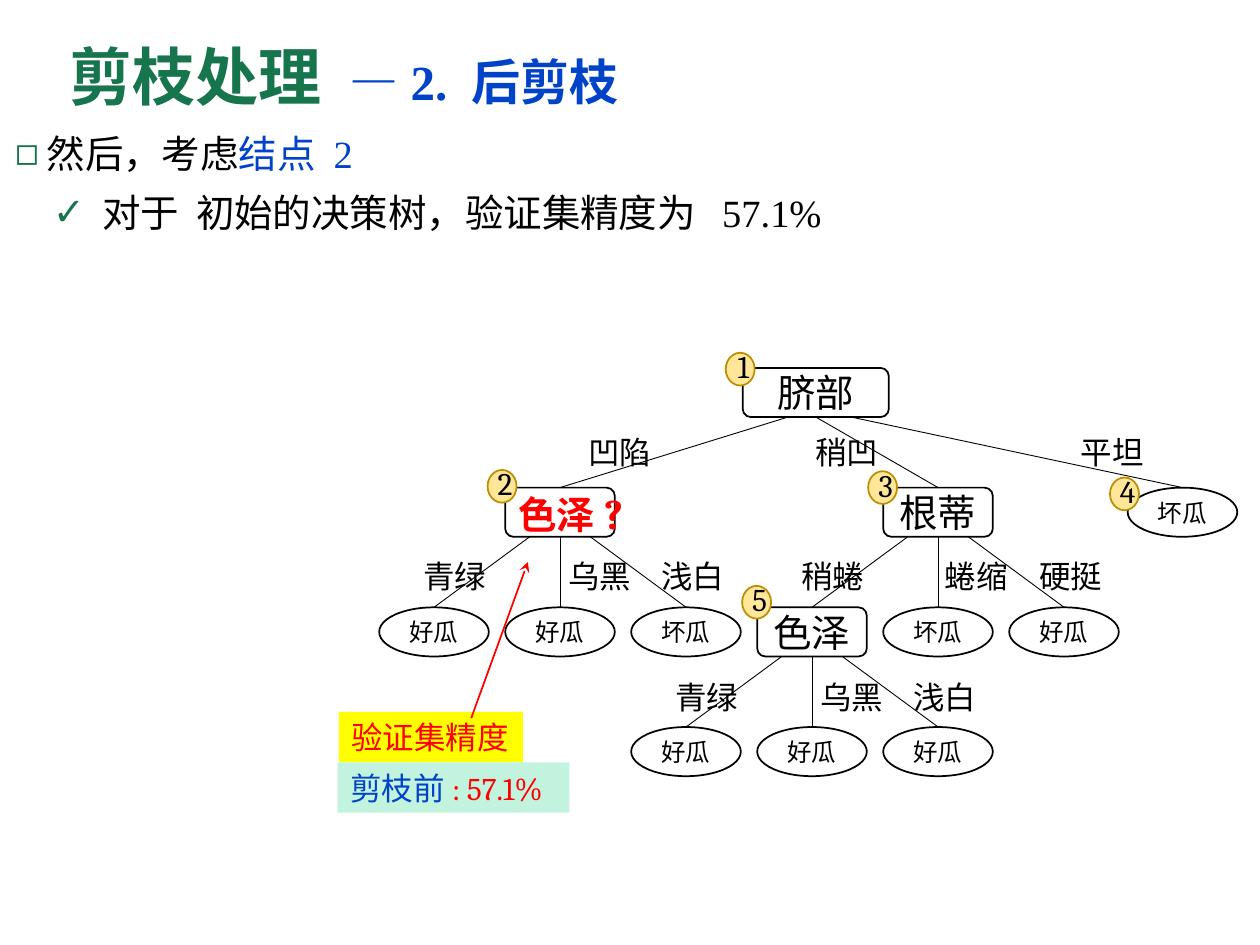
from lxml.etree import SubElement
from pptx import Presentation
from pptx.dml.color import RGBColor
from pptx.enum.shapes import MSO_CONNECTOR, MSO_SHAPE
from pptx.enum.text import MSO_ANCHOR, MSO_AUTO_SIZE, PP_ALIGN
from pptx.oxml.ns import qn
from pptx.util import Inches, Pt

COLORS = {
    "green": "16754D", "blue": "0042C8", "black": "000000", "red": "FF0000",
    "white": "FFFFFF", "badge": "FFE699", "badge_line": "BD8E00",
    "yellow": "FFFF00", "mint": "C1F3DE",
}
TIMES, CAMBRIA, NOTO = "Times New Roman", "Cambria", "Noto Sans CJK SC"

TITLE = [("剪枝处理  ", 36, "green"), ("—2. 后剪枝", 28, "blue")]
BULLETS = [
    ("◻", 0.25, -0.25, [("然后，考虑", "black"), ("结点 2", "blue")]),
    ("✓", 0.69, -0.39, [("对于  初始的决策树，验证集精度为  57.1%", "black")]),
]

LEFT, TOP, COL, ROW = 3.01, 2.92, 1.0, 0.95
NODE_W, ROOT_W, NODE_H = 0.87, 1.16, 0.39
BADGE_W, BADGE_H = 0.23, 0.26
LABEL_W, LABEL_H = 0.71, 0.4
LABEL_TOPS = [3.39, 4.37, 5.33]

TESTS = {
    "1": ("脐部", 3.03, 0), "2": ("色泽", 1, 1),
    "3": ("根蒂", 4, 1), "5": ("色泽", 3, 2),
}
LEAVES = {
    "4": ("坏瓜", 5.94, 1),
    "2a": ("好瓜", 0, 2), "2b": ("好瓜", 1, 2), "2c": ("坏瓜", 2, 2),
    "3b": ("坏瓜", 4, 2), "3c": ("好瓜", 5, 2),
    "5a": ("好瓜", 2, 3), "5b": ("好瓜", 3, 3), "5c": ("好瓜", 4, 3),
}
BRANCHES = {
    "1": [("2", "凹陷", 4.57, -0.22), ("3", "稍凹", 6.37, 0), ("4", "平坦", 8.48, 0.28)],
    "2": [("2a", "青绿", 3.26, -0.24), ("2b", "乌黑", 4.41, 0), ("2c", "浅白", 5.15, 0.24)],
    "3": [("5", "稍蜷", 6.26, -0.24), ("3b", "蜷缩", 7.4, 0), ("3c", "硬挺", 8.15, 0.24)],
    "5": [("5a", "青绿", 5.26, -0.24), ("5b", "乌黑", 6.41, 0), ("5c", "浅白", 7.15, 0.24)],
}
BADGES = {"1": (5.76, 2.8), "2": (3.87, 3.73), "3": (6.89, 3.74),
          "4": (8.81, 3.79), "5": (5.89, 4.65)}
NOTES = [
    (2.69, 5.65, 1.46, "yellow", [("验证集精度", "red")]),
    (2.68, 6.05, 1.84, "mint", [("剪枝前", "blue"), (": 57.1%", "red")]),
]


def rgb(name):
    return RGBColor.from_string(COLORS[name])


def write(paragraph, text, size=18, color="black", font=CAMBRIA, bold=False):
    run = paragraph.add_run()
    run.text = text
    run.font.size, run.font.bold, run.font.name = Pt(size), bold, font
    run.font.color.rgb = rgb(color)
    SubElement(run.font._element, qn("a:ea")).set("typeface", NOTO)


def set_insets(frame, left=0.1, top=0.05, right=0.1, bottom=0.05):
    frame.margin_left, frame.margin_top = Inches(left), Inches(top)
    frame.margin_right, frame.margin_bottom = Inches(right), Inches(bottom)


def place(shape, left, top, width, height):
    shape.left, shape.top = Inches(left), Inches(top)
    shape.width, shape.height = Inches(width), Inches(height)


def add_box(slide, kind, left, top, width, height, fill, line=None):
    box = slide.shapes.add_shape(kind, *map(Inches, (left, top, width, height)))
    box.shadow.inherit = False
    box.fill.solid()
    box.fill.fore_color.rgb = rgb(fill)
    if line:
        box.line.color.rgb = rgb(line)
        box.line.width = Pt(1)
    else:
        box.line.fill.background()
    frame = box.text_frame
    frame.word_wrap = False
    frame.vertical_anchor = MSO_ANCHOR.MIDDLE
    frame.paragraphs[0].alignment = PP_ALIGN.CENTER
    return box


def add_line(slide, start, end, color="black", width=0.5):
    line = slide.shapes.add_connector(MSO_CONNECTOR.STRAIGHT, *map(Inches, start + end))
    line.line.color.rgb = rgb(color)
    line.line.width = Pt(width)
    SubElement(line._element.spPr, qn("a:effectLst"))
    return line


def add_heading(slide):
    title, body = slide.shapes.title, slide.placeholders[1]
    place(title, 0.45, 0.21, 8.62, 0.85)
    title.text_frame.auto_size = MSO_AUTO_SIZE.NONE
    title.text_frame.vertical_anchor = MSO_ANCHOR.MIDDLE
    heading = title.text_frame.paragraphs[0]
    heading.alignment, heading.line_spacing = PP_ALIGN.LEFT, 0.9
    for text, size, color in TITLE:
        write(heading, text, size=size, color=color, font=TIMES, bold=True)

    place(body, 0.02, 1.02, 9.88, 1.7)
    frame = body.text_frame
    frame.auto_size = MSO_AUTO_SIZE.NONE
    set_insets(frame)
    for index, (mark, margin, indent, parts) in enumerate(BULLETS):
        item = frame.add_paragraph() if index else frame.paragraphs[0]
        item.level = index
        item.line_spacing, item.space_before = 0.9, Pt(10)
        properties = item._p.get_or_add_pPr()
        properties.set("marL", str(Inches(margin)))
        properties.set("indent", str(Inches(indent)))
        tint = SubElement(properties, qn("a:buClr"))
        SubElement(tint, qn("a:srgbClr")).set("val", COLORS["green"])
        SubElement(properties, qn("a:buChar")).set("char", mark)
        for text, color in parts:
            write(item, text, size=22, color=color, font=TIMES)


def add_tree(slide):
    nodes = {}
    for key, (text, col, row) in {**TESTS, **LEAVES}.items():
        is_test = key in TESTS
        width = ROOT_W if key == "1" else NODE_W
        left = LEFT + col * COL - (width - NODE_W) / 2
        kind = MSO_SHAPE.ROUNDED_RECTANGLE if is_test else MSO_SHAPE.OVAL
        node = add_box(slide, kind, left, TOP + row * ROW, width, NODE_H, "white", "black")
        line = node.text_frame.paragraphs[0]
        if key == "2":
            set_insets(node.text_frame, left=0.2, right=0.03)
            write(line, text, size=22, color="red", bold=True)
            write(line, "?", size=24, color="red", bold=True)
        elif is_test:
            write(line, text, size=22)
        else:
            write(line, text, size=14, font=TIMES)
        nodes[key] = node

    for parent_key, branches in BRANCHES.items():
        parent = nodes[parent_key]
        center = (parent.left + parent.width / 2) / Inches(1)
        bottom = (parent.top + parent.height) / Inches(1)
        for child_key, text, label_left, offset in branches:
            child = nodes[child_key]
            edge = add_line(slide, (center + offset, bottom), (center, bottom))
            if offset == 0:
                edge.begin_connect(parent, 2)
            edge.end_connect(child, 0)
            label = slide.shapes.add_textbox(
                *map(Inches, (label_left, LABEL_TOPS[TESTS[parent_key][2]], LABEL_W, LABEL_H)))
            label.text_frame.word_wrap = False
            write(label.text_frame.paragraphs[0], text, font=NOTO)

    for number, (left, top) in BADGES.items():
        badge = add_box(slide, MSO_SHAPE.OVAL, left, top, BADGE_W, BADGE_H, "badge", "badge_line")
        set_insets(badge.text_frame, left=0.05, top=0, right=0)
        write(badge.text_frame.paragraphs[0], number)


def add_notes(slide):
    for left, top, width, fill, parts in NOTES:
        note = add_box(slide, MSO_SHAPE.RECTANGLE, left, top, width, LABEL_H, fill)
        note.text_frame.word_wrap = True
        note.text_frame.paragraphs[0].alignment = PP_ALIGN.LEFT
        for text, color in parts:
            write(note.text_frame.paragraphs[0], text, color=color)
    pointer = add_line(slide, (3.74, 5.7), (4.19, 4.46), color="red", width=1)
    SubElement(pointer.line._get_or_add_ln(), qn("a:tailEnd")).set("type", "stealth")


def main():
    deck = Presentation()
    deck.slide_width, deck.slide_height = Inches(10), Inches(7.5)
    slide = deck.slides.add_slide(deck.slide_layouts[1])
    add_heading(slide)
    add_tree(slide)
    add_notes(slide)
    deck.save("out.pptx")


if __name__ == "__main__":
    main()
